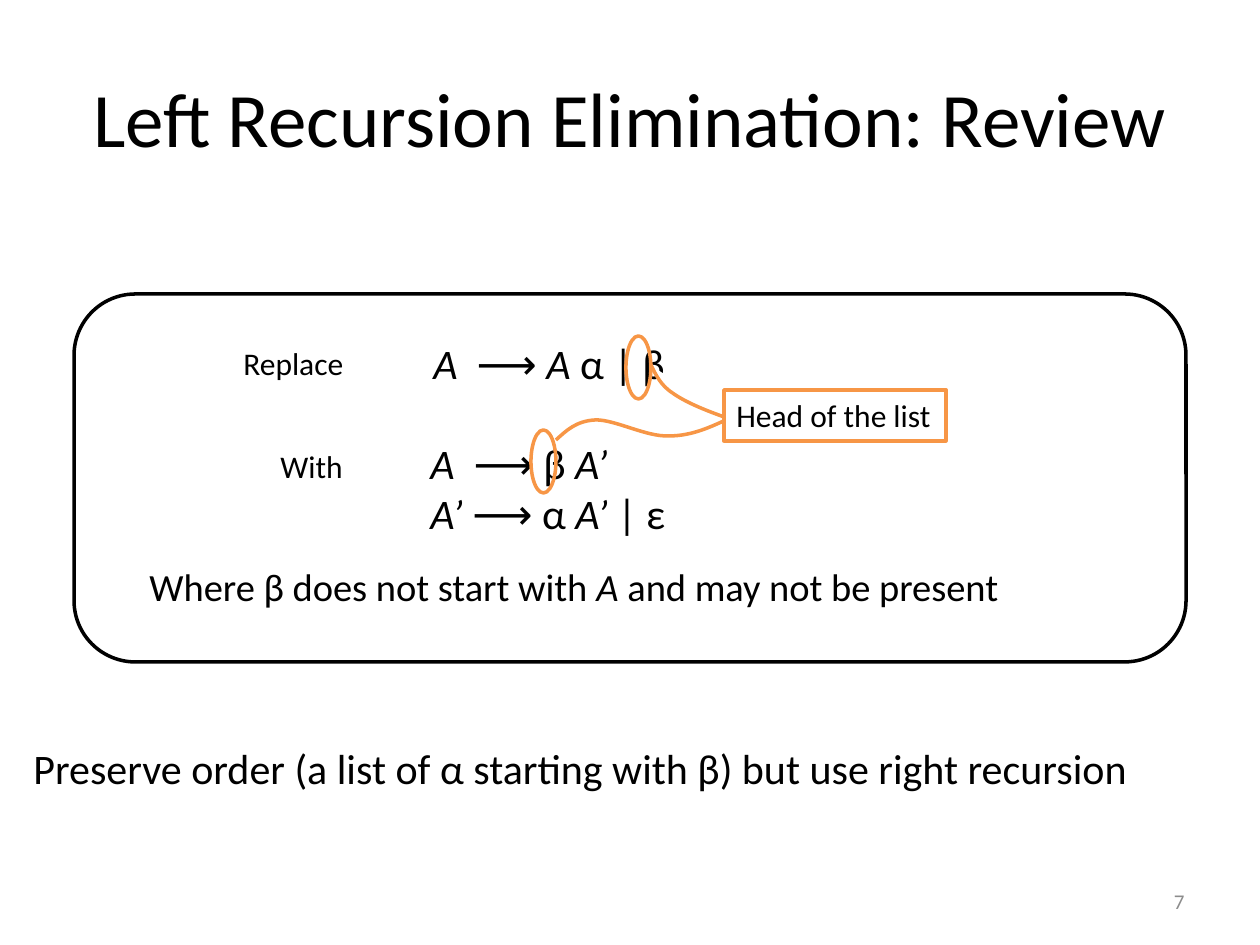
from lxml.etree import SubElement
from pptx import Presentation
from pptx.dml.color import RGBColor
from pptx.enum.shapes import MSO_SHAPE as Kind
from pptx.enum.text import MSO_ANCHOR as Anchor, MSO_AUTO_SIZE as Fit, PP_ALIGN as Align
from pptx.oxml.ns import qn
from pptx.util import Emu, Pt

PX = 914400 / 126
BLACK, WHITE, ORANGE = "000000", "FFFFFF", "F79646"

deck = Presentation()
deck.slide_width, deck.slide_height = Emu(int(1260 * PX)), Emu(int(945 * PX))
slide = deck.slides.add_slide(deck.slide_layouts[6])
shapes = slide.shapes


def paint(shape, line, fill=None):
    shape.shadow.inherit = False
    if fill:
        shape.fill.solid()
        shape.fill.fore_color.rgb = RGBColor.from_string(fill)
    else:
        shape.fill.background()
    shape.line.color.rgb = RGBColor.from_string(line)
    shape.line.width = Pt(2)


def write(text, box, size=18, color=BLACK, align=Align.LEFT, anchor=Anchor.TOP,
          wrap=False, fit=Fit.SHAPE_TO_FIT_TEXT, indent=0, shape=None):
    shape = shape or shapes.add_textbox(*[Emu(int(v * PX)) for v in box])
    frame = shape.text_frame
    frame.word_wrap, frame.auto_size, frame.vertical_anchor = wrap, fit, anchor
    for row, line in enumerate(text.split("\n")):
        para = frame.add_paragraph() if row else frame.paragraphs[0]
        para.alignment = align
        if indent:
            para.level = 1
            props = para._p.get_or_add_pPr()
            props.set("marL", str(int(indent * PX)))
            props.set("indent", "0")
        for turn, part in enumerate(line.split("*")):
            if part:
                run = para.add_run()
                run.text = part
                run.font.name, run.font.size = "Calibri", Pt(size)
                run.font.italic = turn % 2 == 1
                run.font.color.rgb = RGBColor.from_string(color)


panel = shapes.add_shape(Kind.ROUNDED_RECTANGLE, *[Emu(int(v * PX)) for v in (74, 294, 1112, 368)])
paint(panel, BLACK, WHITE)

write("Left Recursion Elimination: Review", (42, 38, 1176, 158), size=44,
      align=Align.CENTER, anchor=Anchor.MIDDLE, wrap=True, fit=Fit.NONE)
write("7", (903, 876, 294, 50), size=12, color="8C8C8C",
      align=Align.RIGHT, anchor=Anchor.MIDDLE, wrap=True, fit=Fit.NONE)
write("Replace", (231, 338, 127, 50))
write("With", (268, 441, 88, 50))
write("Where β does not start with *A* and may not be present",
      (74, 557, 949, 59), size=22, indent=63)
write("Preserve order (a list of α starting with β) but use right recursion",
      (-42, 736, 1202, 63), size=24, indent=63)
write("*A*  ⟶ *A *α | β", (421, 331, 257, 63), size=24, wrap=True)
write("*A*  ⟶ β *A’*\n*A’ *⟶ α *A’ *| ε", (418, 431, 299, 115), size=24, wrap=True)

for left, top in ((531, 430), (626, 336)):
    ring = shapes.add_shape(Kind.OVAL, *[Emu(int(v * PX)) for v in (left, top, 25, 63)])
    paint(ring, ORANGE)

curves = (
    [(556, 440), (566, 431), (576, 421), (595, 420), (614, 419), (646, 437),
     (669, 436), (692, 436), (711, 427), (730, 418)],
    [(651, 365), (656, 375), (661, 386), (674, 394), (687, 403), (707, 411), (727, 418)],
)
for points in curves:
    pen = shapes.build_freeform(*points[0], scale=PX)
    pen.add_line_segments(points[1:], close=False)
    curve = pen.convert_to_shape()
    paint(curve, ORANGE, WHITE)
    route = next(curve._element.iter(qn("a:path")))
    steps = route.findall(qn("a:lnTo"))
    for at in range(0, len(steps), 3):
        bend = SubElement(route, qn("a:cubicBezTo"))
        for step in steps[at:at + 3]:
            bend.append(step[0])
            route.remove(step)

label = shapes.add_shape(Kind.RECTANGLE, *[Emu(int(v * PX)) for v in (724, 390, 222, 51)])
paint(label, ORANGE, WHITE)
write("Head of the list", None, shape=label)

deck.save("out.pptx")
